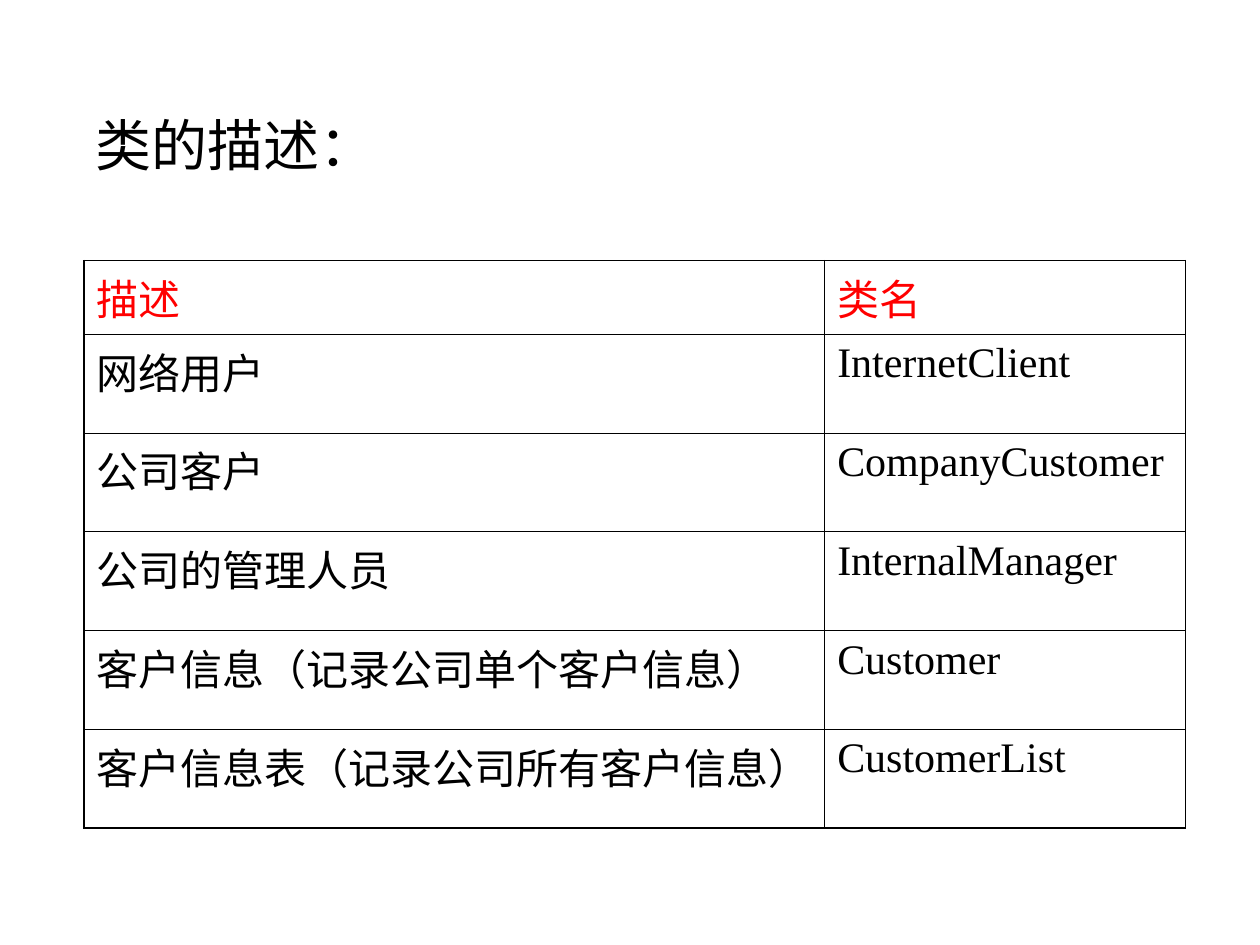
from lxml.etree import SubElement
from pptx import Presentation
from pptx.dml.color import RGBColor
from pptx.enum.text import MSO_ANCHOR
from pptx.oxml.ns import qn
from pptx.util import Pt

BLACK = RGBColor(0x00, 0x00, 0x00)
RED = RGBColor(0xFF, 0x00, 0x00)
THICK, THIN = 0.96, 0.45

ROWS = [
    ("描述", "类名"),
    ("网络用户", "InternetClient"),
    ("公司客户", "CompanyCustomer"),
    ("公司的管理人员", "InternalManager"),
    ("客户信息（记录公司单个客户信息）", "Customer"),
    ("客户信息表（记录公司所有客户信息）", "CustomerList"),
]


def set_text(tf, text, size=24, font="Times New Roman", color=BLACK):
    r = tf.paragraphs[0].add_run()
    r.text = text
    r.font.size = Pt(size)
    r.font.name = font
    r.font.color.rgb = color


def set_borders(cell, **widths):
    """Widths are given by side, in schema order: L, R, T, B."""
    pr = cell._tc.get_or_add_tcPr()
    for side, width in widths.items():
        ln = SubElement(pr, qn(f"a:ln{side}"), w=str(Pt(width)))
        fill = SubElement(ln, qn("a:solidFill"))
        SubElement(fill, qn("a:srgbClr"), val=str(BLACK))


def add_title(slide, text, left, top, width, height):
    sp = slide.shapes.add_textbox(Pt(left), Pt(top), Pt(width), Pt(height))
    tf = sp.text_frame
    tf.word_wrap = True
    tf.vertical_anchor = MSO_ANCHOR.MIDDLE
    set_text(tf, text, size=32, font="Arial")


def add_class_table(slide, left, top, width, height, name_width=206, header_height=42):
    last_row, last_col = len(ROWS) - 1, len(ROWS[0]) - 1
    table = slide.shapes.add_table(
        len(ROWS), len(ROWS[0]), Pt(left), Pt(top), Pt(width), Pt(height)).table
    table.first_row = table.horz_banding = False

    # Columns and rows
    table.columns[0].width = Pt(width - name_width)
    table.columns[1].width = Pt(name_width)
    for i, row in enumerate(table.rows):
        row.height = Pt((height - header_height) / last_row if i else header_height)

    # Cells: the outer top and bottom lines are thicker than the inner ones
    for i, texts in enumerate(ROWS):
        for j, text in enumerate(texts):
            cell = table.cell(i, j)
            set_borders(cell, L=THICK,
                        R=THIN if j == last_col else THICK,
                        T=THIN if i else THICK,
                        B=THICK if i == last_row else THIN)
            cell.fill.background()
            set_text(cell.text_frame, text, color=BLACK if i else RED)


def main():
    prs = Presentation()
    prs.slide_width, prs.slide_height = Pt(720), Pt(540)
    slide = prs.slides.add_slide(prs.slide_layouts[6])
    add_title(slide, "类的描述：", 47.5, 46.5, 631.5, 72)
    add_class_table(slide, 48, 149, 629.25, 324.25)
    prs.save("out.pptx")


if __name__ == "__main__":
    main()
